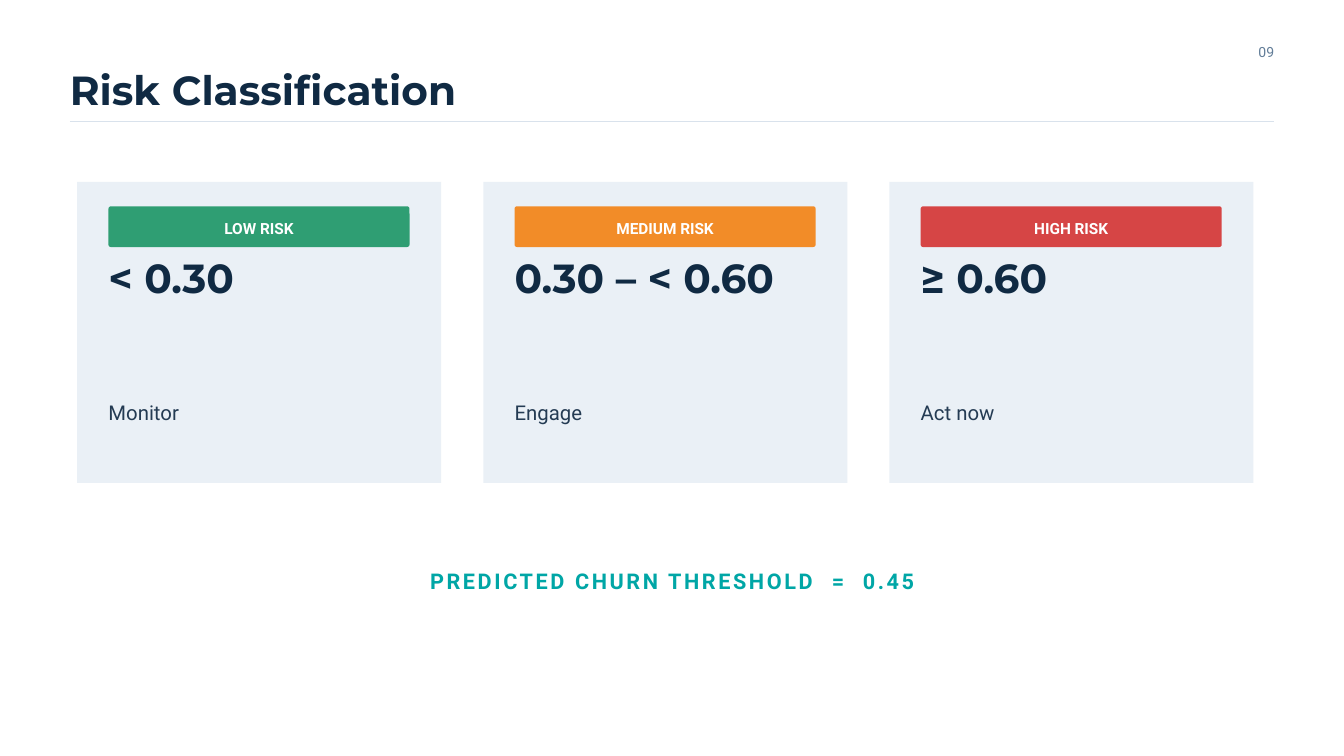
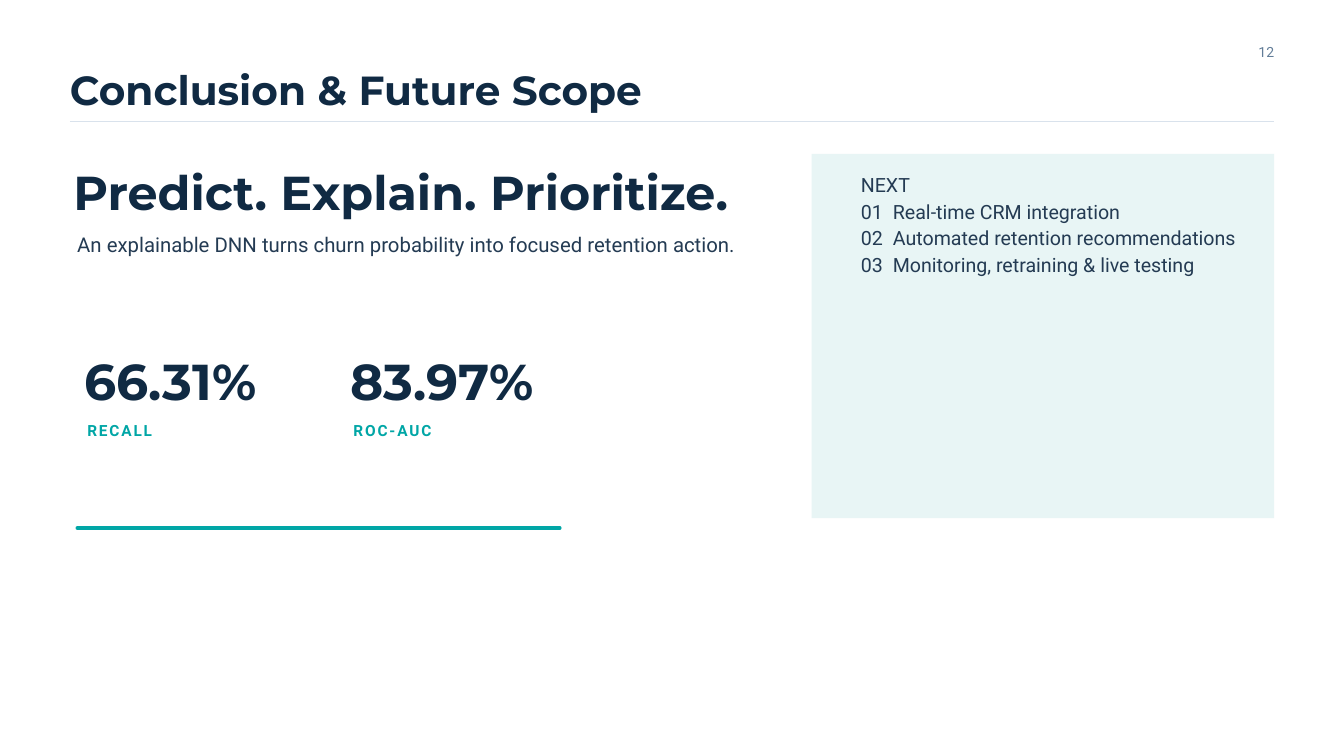
import pptx
import pptx.util
import pptx.dml.color
import pptx.enum.shapes
import pptx.enum.text
from lxml import etree
from pptx.util import Cm, Pt

# Content
RISK = {
    "title": "Risk Classification",
    "number": "09",
    "levels": [
        ("LOW RISK", "< 0.30", "Monitor", "low"),
        ("MEDIUM RISK", "0.30 – < 0.60", "Engage", "medium"),
        ("HIGH RISK", "≥ 0.60", "Act now", "high"),
    ],
    "threshold": ["PREDICTED CHURN THRESHOLD", "=", "0.45"],
}
CONCLUSION = {
    "title": "Conclusion & Future Scope",
    "number": "12",
    "headline": "Predict. Explain. Prioritize.",
    "summary": "An explainable DNN turns churn probability into focused retention action.",
    "metrics": [("66.31%", "RECALL"), ("83.97%", "ROC-AUC")],
    "next": [
        "NEXT",
        "01\tReal-time CRM integration",
        "02\tAutomated retention recommendations",
        "03\tMonitoring, retraining & live testing",
    ],
}

# Shared look
COLORS = {
    "navy": "102A43", "body": "243B53", "muted": "627D98", "rule": "D9E2EC",
    "teal": "00A6A6", "card": "EAF0F6", "panel": "E8F5F5", "white": "FFFFFF",
    "low": "2F9E73", "medium": "F28C28", "high": "D64545",
}
# Each style: font, size, line spacing, colour, bold, letter spacing
STYLES = {
    "title": ("Montserrat", 43.5, 45.7, "navy", True, 0),
    "headline": ("Montserrat", 51, 53.5, "navy", True, 0),
    "metric": ("Montserrat", 54, 56.7, "navy", True, 0),
    "number": ("Roboto", 15, 21, "muted", False, 0),
    "body": ("Roboto", 21.8, 29.4, "body", False, 0),
    "list": ("Roboto", 21, 28.4, "body", False, 0),
    "badge": ("Roboto", 16.5, 23.1, "white", True, 0),
    "label": ("Roboto", 16.5, 23.1, "teal", True, 2),
    "threshold": ("Roboto", 23.2, 32.5, "teal", True, 2.8),
}
LEFT, RIGHT = 2.64, 48.16
ALIGN = pptx.enum.text.PP_ALIGN
SHAPES = pptx.enum.shapes.MSO_SHAPE


def color(name):
    return pptx.dml.color.RGBColor.from_string(COLORS[name])


def style_paragraph(paragraph, style, align):
    font_name, size, line_spacing, color_name, bold, tracking = STYLES[style]
    paragraph.alignment = align
    paragraph.line_spacing = Pt(line_spacing)
    for run in paragraph.runs:
        run.font.name = font_name
        run.font.size = Pt(size)
        run.font.bold = bold
        run.font.color.rgb = color(color_name)
        if tracking:
            run.font._element.set("spc", str(round(tracking * 100)))


def add_text(shapes, text, style, left, top, width, height, align=ALIGN.LEFT):
    box = shapes.add_textbox(Cm(left), Cm(top), Cm(width), Cm(height))
    frame = box.text_frame
    frame.word_wrap = True
    frame.auto_size = pptx.enum.text.MSO_AUTO_SIZE.SHAPE_TO_FIT_TEXT
    frame.margin_left = frame.margin_right = frame.margin_top = frame.margin_bottom = 0
    frame.text = text
    for paragraph in frame.paragraphs:
        style_paragraph(paragraph, style, align)
    return box


def add_block(shapes, kind, fill, left, top, width, height):
    shape = shapes.add_shape(kind, Cm(left), Cm(top), Cm(width), Cm(height))
    shape.shadow.inherit = False
    shape.fill.solid()
    shape.fill.fore_color.rgb = color(fill)
    shape.line.fill.background()
    return shape


def add_rule(shapes, left, right, top, color_name, weight):
    rule = shapes.add_connector(pptx.enum.shapes.MSO_CONNECTOR.STRAIGHT,
                                Cm(left), Cm(top), Cm(right), Cm(top))
    rule.line.color.rgb = color(color_name)
    rule.line.width = Pt(weight)
    etree.SubElement(rule._element.spPr, pptx.oxml.ns.qn("a:effectLst"))
    return rule


def add_slide(presentation, content):
    slide = presentation.slides.add_slide(presentation.slide_layouts[6])
    slide.background.fill.solid()
    slide.background.fill.fore_color.rgb = color("white")
    add_text(slide.shapes, content["title"], "title", LEFT, 2.67, 38.35, 1.63)
    add_text(slide.shapes, content["number"], "number",
             RIGHT - 2.39, 1.55, 2.39, 0.71, ALIGN.RIGHT)
    add_rule(slide.shapes, LEFT, RIGHT, 4.6, "rule", 1.5)
    return slide


def add_risk_card(slide, left, badge_text, score, action, fill):
    top, inset = 6.88, 1.18
    shapes = slide.shapes.add_group_shape().shapes
    add_block(shapes, SHAPES.RECTANGLE, "card", left, top, 13.76, 11.38)
    badge = add_block(shapes, SHAPES.ROUNDED_RECTANGLE, fill,
                      left + inset, top + 0.92, 11.38, 1.54)
    badge.adjustments[0] = 0.06
    badge.text_frame.text = badge_text
    badge.text_frame.vertical_anchor = pptx.enum.text.MSO_ANCHOR.MIDDLE
    style_paragraph(badge.text_frame.paragraphs[0], "badge", ALIGN.CENTER)
    add_text(shapes, score, "title", left + inset, top + 2.92, 11.91, 1.68)
    add_text(shapes, action, "body", left + inset, top + 8.13, 11.91, 0.97)


def build_risk_slide(presentation):
    slide = add_slide(presentation, RISK)
    for index, level in enumerate(RISK["levels"]):
        add_risk_card(slide, 2.92 + index * 15.35, *level)

    # Threshold line, with wide gaps around the equals sign
    box = add_text(slide.shapes, "", "threshold", 13.49, 21.31, 23.83, 1.12)
    paragraph = box.text_frame.paragraphs[0]
    for part in " | ".join(RISK["threshold"]).replace("|", "").split("  "):
        if paragraph.runs:
            paragraph.add_run().text = " "
        paragraph.add_run().text = part
    style_paragraph(paragraph, "threshold", ALIGN.CENTER)
    for gap in paragraph.runs[1::2]:
        gap.font._element.set("spc", "1130")


def build_conclusion_slide(presentation):
    slide = add_slide(presentation, CONCLUSION)
    add_text(slide.shapes, CONCLUSION["headline"], "headline", 2.77, 6.43, 27.79, 1.93)
    add_text(slide.shapes, CONCLUSION["summary"], "body", 2.92, 8.66, 27.79, 0.99)

    # Metrics
    for index, (value, label) in enumerate(CONCLUSION["metrics"]):
        left = 3.18 + index * 10.06
        shapes = slide.shapes.add_group_shape().shapes
        add_text(shapes, value, "metric", left, 13.51, 9.27, 2.11)
        add_text(shapes, label, "label", left + 0.12, 15.8, 7.92, 0.76)

    # Next steps panel
    shapes = slide.shapes.add_group_shape().shapes
    add_block(shapes, SHAPES.RECTANGLE, "panel", 30.68, 5.82, RIGHT - 30.68, 13.77)
    box = add_text(shapes, "\n".join(CONCLUSION["next"]), "list", 32.54, 6.43, 15.09, 3.86)
    for paragraph in box.text_frame.paragraphs[1:]:
        tabs = etree.SubElement(paragraph._p.get_or_add_pPr(), pptx.oxml.ns.qn("a:tabLst"))
        etree.SubElement(tabs, pptx.oxml.ns.qn("a:tab"), pos=str(Cm(1.21)), algn="l")

    accent = add_rule(slide.shapes, 2.92, 21.16, 19.96, "teal", 3.75)
    accent.line._get_or_add_ln().set("cap", "rnd")


def main():
    presentation = pptx.Presentation()
    presentation.slide_width = Cm(50.8)
    presentation.slide_height = Cm(28.58)
    build_risk_slide(presentation)
    build_conclusion_slide(presentation)
    presentation.save("out.pptx")


if __name__ == "__main__":
    main()
